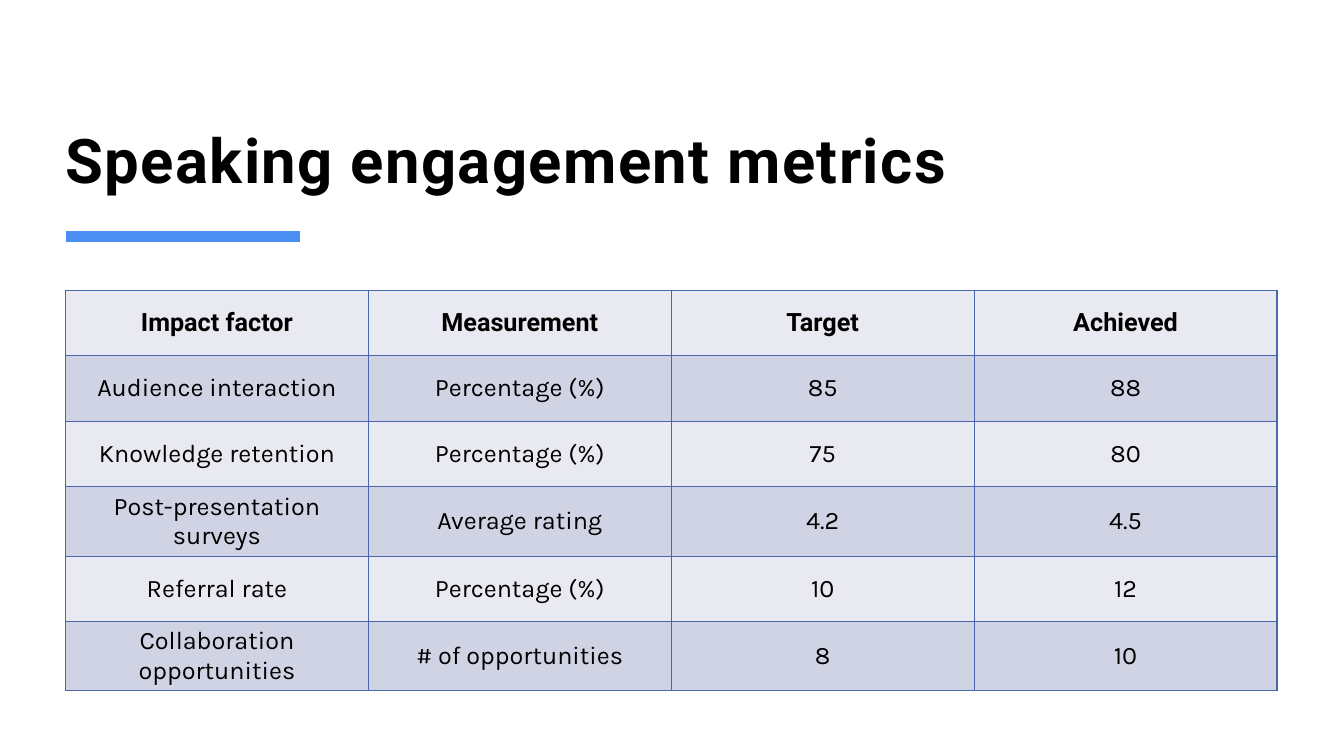
from dataclasses import dataclass

from lxml import etree
from pptx import Presentation
from pptx.dml.color import RGBColor
from pptx.enum import shapes, text
from pptx.oxml import ns
from pptx.slide import Slide
from pptx.text.text import Font
from pptx.util import Pt


@dataclass(frozen=True)
class Theme:
    heading_font: str = "Roboto"
    body_font: str = "Karla"
    title_size: float = 44
    table_size: float = 18
    ink: str = "000000"
    accent: str = "4A8EF2"
    grid: str = "4A66AC"
    light_band: str = "E9EAF1"
    dark_band: str = "D0D3E3"


@dataclass(frozen=True)
class Metric:
    factor: str
    measurement: str
    target: str
    achieved: str

    def entries(self) -> tuple[str, ...]:
        return self.factor, self.measurement, self.target, self.achieved


THEME = Theme()
LEFT = 46.8
CONTENT_WIDTH = 865.44
ROW_HEIGHT = 46.8

METRICS = [
    Metric("Impact factor", "Measurement", "Target", "Achieved"),
    Metric("Audience interaction", "Percentage (%)", "85", "88"),
    Metric("Knowledge retention", "Percentage (%)", "75", "80"),
    Metric("Post-presentation surveys", "Average rating", "4.2", "4.5"),
    Metric("Referral rate", "Percentage (%)", "10", "12"),
    Metric("Collaboration opportunities", "# of opportunities", "8", "10"),
]


def style_font(font: Font, name: str, size: float, bold: bool) -> None:
    font.name = name
    font.size = Pt(size)
    font.bold = bold
    font.color.rgb = RGBColor.from_string(THEME.ink)


def add_heading(slide: Slide, wording: str) -> None:
    heading = slide.shapes.title
    heading.left, heading.top = Pt(LEFT), Pt(46.08)
    heading.width, heading.height = Pt(864), Pt(93.6)
    frame = heading.text_frame
    frame.text = wording
    frame.word_wrap = True
    frame.auto_size = text.MSO_AUTO_SIZE.NONE
    frame.vertical_anchor = text.MSO_ANCHOR.BOTTOM
    frame.margin_left = frame.margin_right = Pt(0)
    frame.margin_top = frame.margin_bottom = Pt(0)
    paragraph = frame.paragraphs[0]
    paragraph.alignment = text.PP_ALIGN.LEFT
    paragraph.line_spacing = 0.8
    style_font(paragraph.runs[0].font, THEME.heading_font, THEME.title_size, True)
    for properties in heading.element.iter(ns.qn("a:rPr")):
        properties.set("spc", "100")


def add_underline(slide: Slide) -> None:
    underline = slide.shapes.add_connector(
        shapes.MSO_CONNECTOR.STRAIGHT, Pt(LEFT), Pt(169.2), Pt(214.56), Pt(169.2)
    )
    underline.line.color.rgb = RGBColor.from_string(THEME.accent)
    underline.line.width = Pt(8)
    etree.SubElement(underline.element.spPr, ns.qn("a:effectLst"))


def cell_border(side: str) -> etree._Element:
    border = etree.Element(ns.qn(f"a:{side}"), w=str(Pt(1)))
    fill = etree.SubElement(border, ns.qn("a:solidFill"))
    etree.SubElement(fill, ns.qn("a:srgbClr"), val=THEME.grid)
    return border


def add_metrics(slide: Slide, metrics: list[Metric]) -> None:
    columns = len(metrics[0].entries())
    frame = slide.shapes.add_table(
        len(metrics), columns, Pt(LEFT), Pt(207.36),
        Pt(CONTENT_WIDTH), Pt(ROW_HEIGHT * len(metrics)),
    )
    grid = frame.table
    grid.first_row = grid.horz_banding = False
    for column in grid.columns:
        column.width = Pt(CONTENT_WIDTH / columns)
    for index, metric in enumerate(metrics):
        grid.rows[index].height = Pt(ROW_HEIGHT)
        is_header = index == 0
        font_name = THEME.heading_font if is_header else THEME.body_font
        band = THEME.dark_band if index % 2 else THEME.light_band
        for cell, entry in zip(grid.rows[index].cells, metric.entries()):
            cell.text = entry
            cell.vertical_anchor = text.MSO_ANCHOR.MIDDLE
            cell.fill.solid()
            cell.fill.fore_color.rgb = RGBColor.from_string(band)
            paragraph = cell.text_frame.paragraphs[0]
            paragraph.alignment = text.PP_ALIGN.CENTER
            style_font(paragraph.runs[0].font, font_name, THEME.table_size, is_header)
    for properties in frame.element.iter(ns.qn("a:tcPr")):
        for position, side in enumerate(("lnL", "lnR", "lnT", "lnB")):
            properties.insert(position, cell_border(side))


def main() -> None:
    deck = Presentation()
    deck.slide_width, deck.slide_height = Pt(960), Pt(540)
    slide = deck.slides.add_slide(deck.slide_layouts.get_by_name("Title Only"))
    add_underline(slide)
    add_heading(slide, "Speaking engagement metrics")
    add_metrics(slide, METRICS)
    deck.save("out.pptx")


if __name__ == "__main__":
    main()
